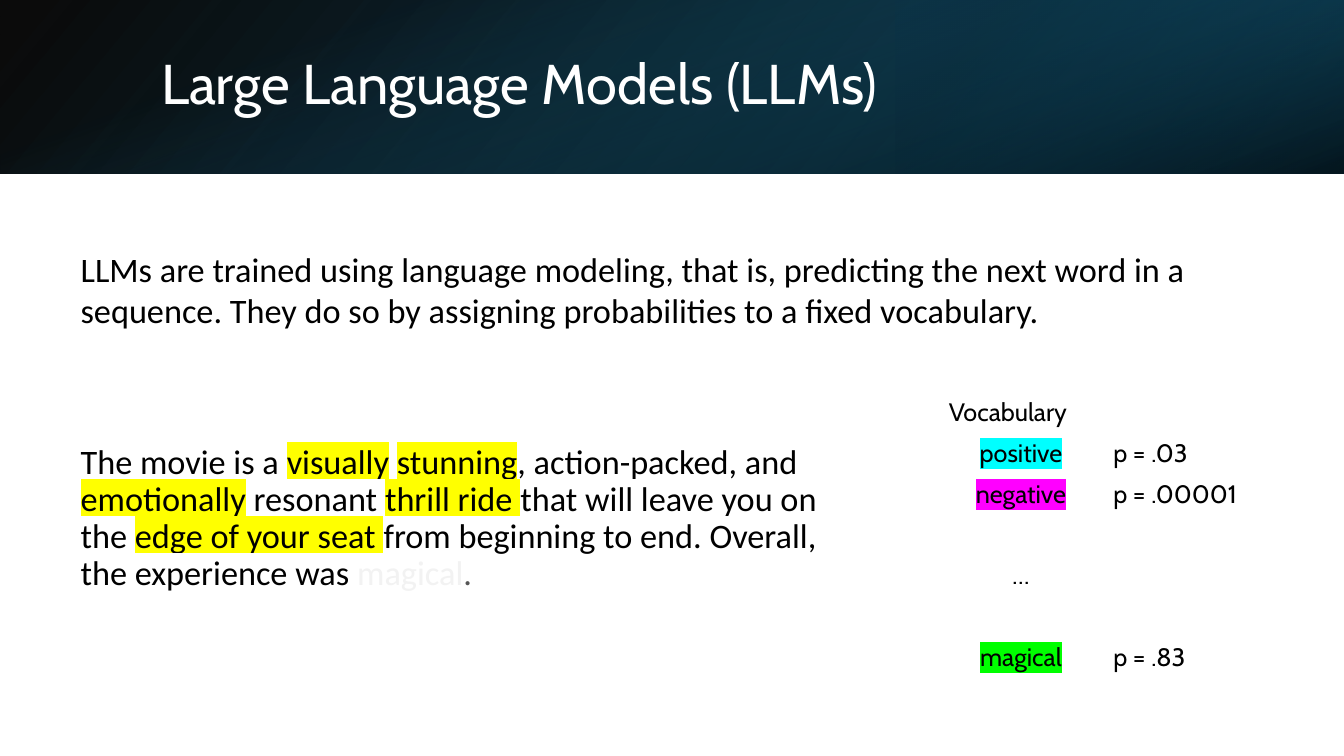
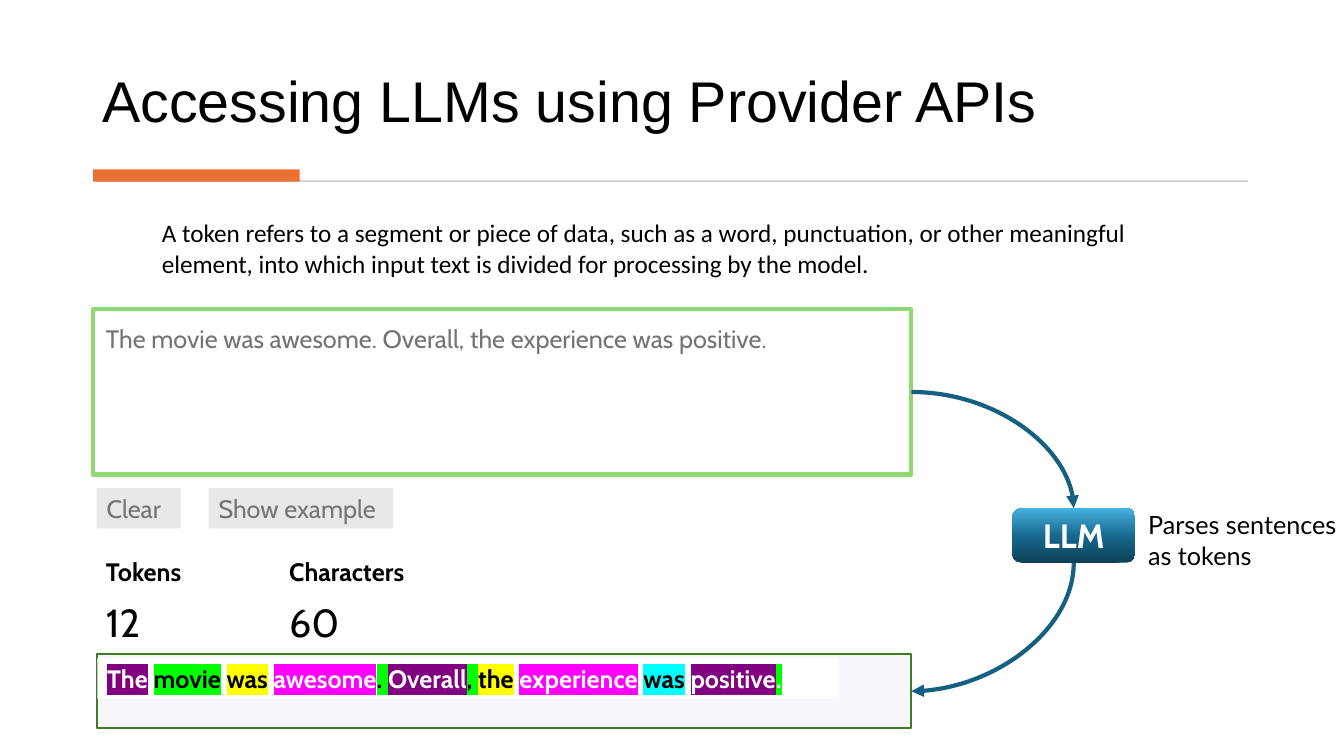
from itertools import cycle

from pptx import Presentation
from pptx.dml.color import RGBColor
from pptx.enum.shapes import MSO_CONNECTOR, MSO_SHAPE
from pptx.enum.text import MSO_ANCHOR, PP_ALIGN
from pptx.oxml import parse_xml
from pptx.oxml.ns import nsdecls, qn
from pptx.util import Pt

RECT, ROUND = MSO_SHAPE.RECTANGLE, MSO_SHAPE.ROUNDED_RECTANGLE
CURVE = MSO_CONNECTOR.CURVE
TOP, MIDDLE, BOTTOM = MSO_ANCHOR.TOP, MSO_ANCHOR.MIDDLE, MSO_ANCHOR.BOTTOM
LEFT, CENTER = PP_ALIGN.LEFT, PP_ALIGN.CENTER
TOP_SITE, LOW_SITE, RIGHT_SITE = 0, 2, 3
WIDE, HIGH, BAND = 960, 540, 124

HUES = {
    "black": "000000", "white": "FFFFFF", "grey": "747474", "dim": "555555",
    "faint": "F2F2F2", "button": "E8E8E8", "rule": "D5D5D5",
    "orange": "E97132", "teal": "156082", "deep": "104862", "night": "0B3041",
    "navy": "0E4057", "sea": "16678B", "sky": "46B1E1", "leaf": "8ED973",
    "forest": "3B7D23", "mist": "F8F6FC", "yellow": "FFFF00", "cyan": "00FFFF",
    "pink": "FF00FF", "lime": "00FF00", "purple": "800080",
}

FONTS = {
    "banner": {"name": "Cabin", "size": Pt(40)},
    "title": {"name": "Arial", "size": Pt(41)},
    "body": {"name": "Calibri", "size": Pt(24.5)},
    "note": {"name": "Calibri", "size": Pt(18)},
    "side": {"name": "Lato", "size": Pt(18)},
    "plain": {"name": "Cabin", "size": Pt(18)},
    "strong": {"name": "Cabin", "size": Pt(18), "bold": True},
    "count": {"name": "Cabin", "size": Pt(28)},
    "model": {"name": "Cabin", "size": Pt(24), "bold": True},
}


def tint(name):
    return RGBColor.from_string(HUES[name])


# Text
def write(frame, runs, font, hue="black", align=LEFT, space=None):
    """Fill the first paragraph; a run is text or (text, hue, marker)."""
    para = frame.paragraphs[0]
    para.alignment = align
    if space:
        para.line_spacing = space
    for part in [runs] if isinstance(runs, str) else runs:
        text, ink, mark = (part, hue, None) if isinstance(part, str) else part
        run = para.add_run()
        run.text = text
        for key, value in FONTS[font].items():
            setattr(run.font, key, value)
        run.font.color.rgb = tint(ink)
        if mark:
            fill = run.font._element.find(qn("a:solidFill"))
            fill.addnext(parse_xml(
                f'<a:highlight {nsdecls("a")}>'
                f'<a:srgbClr val="{HUES[mark]}"/></a:highlight>'))


def put(shape, runs, font, hue="black", anchor=TOP, **kind):
    frame = shape.text_frame
    frame.word_wrap = True
    frame.vertical_anchor = anchor
    write(frame, runs, font, hue, **kind)
    return frame


def label(slide, spot, runs, font, hue="black", **kind):
    box = slide.shapes.add_textbox(*map(Pt, spot))
    return put(box, runs, font, hue, **kind)


def title(slide, spot, text, font, hue, anchor):
    label(slide, spot, text, font, hue, anchor=anchor, space=0.9)


# Shapes
def block(slide, spot, fill=None, line=None, kind=RECT):
    shape = slide.shapes.add_shape(kind, *map(Pt, spot))
    shape.shadow.inherit = False
    if fill:
        shape.fill.solid()
        shape.fill.fore_color.rgb = tint(fill)
    if line:
        shape.line.color.rgb = tint(line[0])
        shape.line.width = Pt(line[1])
    else:
        shape.line.fill.background()
    return shape


def blend(shape, angle, stops):
    """Linear gradient; a stop is (place, hue, opacity), all in percent."""
    marks = "".join(
        f'<a:gs pos="{place * 1000}"><a:srgbClr val="{HUES[hue]}">'
        f'<a:alpha val="{clear * 1000}"/></a:srgbClr></a:gs>'
        for place, hue, clear in stops)
    shape.fill.background()
    props = shape._element.spPr
    props.replace(props.find(qn("a:noFill")), parse_xml(
        f'<a:gradFill {nsdecls("a")} rotWithShape="1"><a:gsLst>{marks}</a:gsLst>'
        f'<a:lin ang="{angle * 60000}" scaled="0"/></a:gradFill>'))


def link(slide, box, model, site, end):
    """Curve from the right of a box to the model; end bears the arrow."""
    curve = slide.shapes.add_connector(CURVE, 0, 0, 0, 0)
    curve.begin_connect(box, RIGHT_SITE)
    curve.end_connect(model, site)
    curve.line.color.rgb = tint("teal")
    curve.line.width = Pt(3)
    props = curve._element.spPr
    props.find(qn("a:prstGeom")).set("prst", "curvedConnector2")
    props.find(qn("a:ln")).append(
        parse_xml(f'<a:{end} {nsdecls("a")} type="triangle"/>'))
    props.append(parse_xml(f'<a:effectLst {nsdecls("a")}/>'))


# Table
def grid(slide, spot, rows):
    shape = slide.shapes.add_table(len(rows), 2, *map(Pt, spot))
    table = shape.table
    table.first_row = table.horz_banding = False
    for row, cells in enumerate(rows):
        for col, (runs, align) in enumerate(zip(cells, (CENTER, LEFT))):
            cell = table.cell(row, col)
            cell.fill.background()
            write(cell.text_frame, runs, "plain", align=align if row else LEFT)


def models(slide):
    # Dark band in three layers
    layers = [
        ((0, 0, WIDE, BAND), 0, True, 140,
         [(0, "black", 96), (100, "deep", 100)]),
        ((640, 0, 320, BAND), 180, True, 320,
         [(19, "night", 68), (100, "teal", 79)]),
        (((WIDE - BAND) / 2, (BAND - WIDE) / 2, BAND, WIDE), 90, False, 340,
         [(23, "teal", 0), (99, "black", 74)]),
    ]
    for spot, turn, flip, angle, stops in layers:
        layer = block(slide, spot)
        layer.rotation = turn
        if flip:
            layer._element.spPr.xfrm.set("flipH", "1")
        blend(layer, angle, stops)
    title(slide, (108, 27.5, 790, 69), "Large Language Models (LLMs)",
          "banner", "white", MIDDLE)

    # Definition and review
    label(slide, (50.5, 173.5, 847.5, 67.5),
          "LLMs are trained using language modeling, that is, predicting the "
          "next word in a sequence. They do so by assigning probabilities to "
          "a fixed vocabulary.", "body")
    words = ["The movie is a ", "visually", " ", "stunning",
             ", action-packed, and ", "emotionally", " resonant ",
             "thrill ride ", "that will leave you on the ",
             "edge of your seat ",
             "from beginning to end. Overall, the experience was "]
    review = [(text, "black", mark)
              for text, mark in zip(words, cycle(["white", "yellow"]))]
    review += [("magical", "faint", "white"), (".", "dim", "white")]
    label(slide, (50.5, 314, 569, 130), review, "body", space=0.9)

    # Word odds
    grid(slide, (670.5, 280, 235, 204.5), [
        ("Vocabulary", []),
        ([("positive", "black", "cyan")], "p = .03"),
        ([("negative", "black", "pink")], "p = .00001"),
        ([], []),
        ("…", []),
        ([], []),
        ([("magical", "black", "lime")], "p = .83"),
    ])


def access(slide):
    # Heading
    title(slide, (66, 20, 827, 80), "Accessing LLMs using Provider APIs",
          "title", "black", BOTTOM)
    block(slide, (68.5, 128.7, 823, 1.5), "rule")
    block(slide, (66.5, 121, 147.5, 8.7), "orange")
    label(slide, (108.5, 152, 757.5, 51),
          "A token refers to a segment or piece of data, such as a word, "
          "punctuation, or other meaningful element, into which input text "
          "is divided for processing by the model.", "note")

    # Input and buttons
    source = block(slide, (66.5, 221, 584.5, 118), "white", ("leaf", 3))
    label(slide, (68.5, 227.5, 497, 29),
          "The movie was awesome. Overall, the experience was positive.",
          "plain", "grey")
    for left, width, text in [(69, 60, "Clear"), (149, 132, "Show example")]:
        button = block(slide, (left, 348.5, width, 29), "button")
        put(button, text, "plain", "grey")

    # Counts
    for left, name, count in [(68.5, "Tokens", "12"),
                              (199.5, "Characters", "60")]:
        label(slide, (left, 394, 119, 29), name, "strong")
        label(slide, (left, 424, 81, 41), count, "count")

    # Tokens
    result = block(slide, (69, 467.5, 582, 52.5), "mist", ("forest", 1.5))
    strip = block(slide, (69.5, 470, 529.5, 29), "white")
    put(strip, [
        ("The", "white", "purple"), " ", ("movie", "black", "lime"), " ",
        ("was", "black", "yellow"), " ", ("awesome", "white", "pink"),
        (". ", "black", "lime"), ("Overall", "white", "purple"),
        (", ", "black", "lime"), ("the", "black", "yellow"), " ",
        ("experience", "white", "pink"), " ", ("was", "black", "cyan"), " ",
        ("positive", "white", "purple"), (".", "white", "lime"),
    ], "strong")

    # Model and arrows
    model = block(slide, (723, 363, 88, 39), kind=ROUND)
    blend(model, 270, [(0, "navy", 100), (48, "sea", 100), (100, "sky", 100)])
    put(model, "LLM", "model", "white", anchor=MIDDLE, align=CENTER)
    link(slide, source, model, TOP_SITE, "tailEnd")
    link(slide, result, model, LOW_SITE, "headEnd")
    aside = label(slide, (813, 360.5, 147, 51),
                  "Parses sentences as tokens", "side")
    aside.margin_right = 0


def main():
    deck = Presentation()
    deck.slide_width, deck.slide_height = Pt(WIDE), Pt(HIGH)
    for draw in (models, access):
        draw(deck.slides.add_slide(deck.slide_layouts[6]))
    deck.save("out.pptx")


if __name__ == "__main__":
    main()
